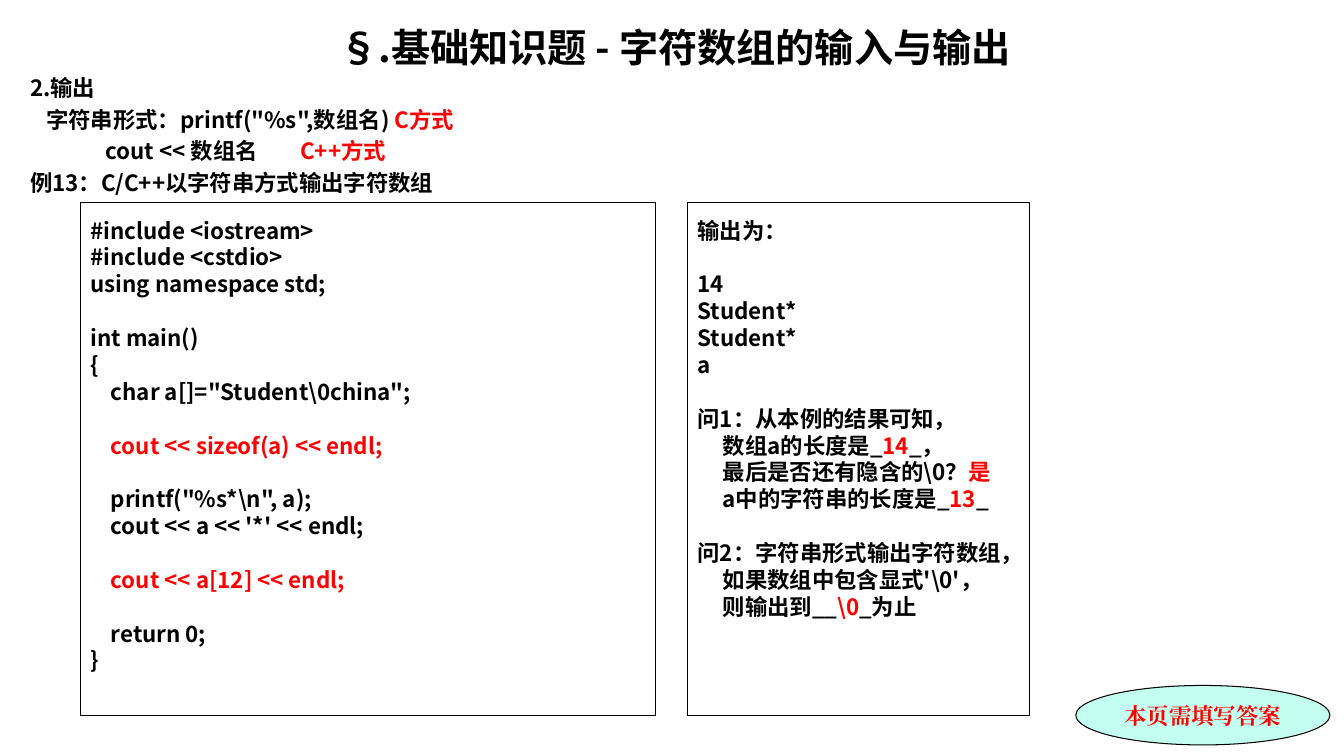
from pptx import Presentation
from pptx import util as u
from pptx.dml.color import RGBColor
from pptx.enum import shapes, text
from pptx.oxml import parse_xml
from pptx.oxml.ns import nsdecls, qn

BLACK = RGBColor(0x00, 0x00, 0x00)
RED = RGBColor(0xFF, 0x00, 0x00)
MINT = RGBColor(0xC2, 0xFF, 0xF0)

SANS = "Noto Sans CJK SC"
SERIF = "Times New Roman"
BODY_SIZE = 16
TITLE_SIZE = 28
LINE_FACTOR = 1.2
RED_MARK = "|"

TITLE = "§.基础知识题 - 字符数组的输入与输出"
INTRO = [
    "2.输出",
    '\t字符串形式：printf("%s",数组名) |C方式',
    "\tcout << 数组名\t|C++方式",
    "例13：C/C++以字符串方式输出字符数组",
]
INTRO_TABS = {1: [0.16], 2: [0.75, 2.68]}

CODE = r"""#include <iostream>
#include <cstdio>
using namespace std;

int main()
{
    char a[]="Student\0china";

|    cout << sizeof(a) << endl;

    printf("%s*\n", a);
    cout << a << '*' << endl;

|    cout << a[12] << endl;

    return 0;
}"""

ANSWERS = r"""输出为：

14
Student*
Student*
a

问1：从本例的结果可知，
>数组a的长度是_|14|_，
>最后是否还有隐含的\0？|是
>a中的字符串的长度是_|13|_

问2：字符串形式输出字符数组，
>如果数组中包含显式'\0'，
>则输出到__|\0|_为止"""


class SlideBuilder:
    def __init__(self, slide):
        self.slide = slide

    def fill_paragraph(self, paragraph, line, size=BODY_SIZE, name=SANS,
                       alignment=text.PP_ALIGN.LEFT, before=0, indent=0, tabs=()):
        properties = paragraph._p.get_or_add_pPr()
        if indent:
            properties.set("marL", str(u.Inches(indent)))
            properties.set("indent", "0")
        paragraph.alignment = alignment
        paragraph.line_spacing = u.Pt(size * LINE_FACTOR)
        paragraph.space_before = u.Pt(before)
        if tabs:
            stops = "".join(f'<a:tab pos="{u.Inches(stop)}" algn="l"/>' for stop in tabs)
            properties.append(parse_xml(f'<a:tabLst {nsdecls("a")}>{stops}</a:tabLst>'))
        for index, part in enumerate(line.split(RED_MARK)):
            if not part:
                continue
            run = paragraph.add_run()
            run.text = part
            run.font.size = u.Pt(size)
            run.font.bold = True
            run.font.name = name
            run.font.color.rgb = RED if index % 2 else BLACK
            run_properties = run._r.get_or_add_rPr()
            east_asian = run_properties.makeelement(qn("a:ea"), {"typeface": name})
            run_properties.find(qn("a:latin")).addnext(east_asian)

    def heading(self, left, top, width, height):
        shape = self.slide.shapes.add_textbox(*map(u.Inches, (left, top, width, height)))
        frame = shape.text_frame
        frame.word_wrap = True
        self.fill_paragraph(frame.paragraphs[0], TITLE, TITLE_SIZE,
                            alignment=text.PP_ALIGN.CENTER)
        for index, line in enumerate(INTRO):
            self.fill_paragraph(frame.add_paragraph(), line, alignment=text.PP_ALIGN.JUSTIFY,
                                before=BODY_SIZE * 0.2, tabs=INTRO_TABS.get(index, ()))

    def outline(self, kind, left, top, width, height, fill=None):
        shape = self.slide.shapes.add_shape(kind, *map(u.Inches, (left, top, width, height)))
        shape.shadow.inherit = False
        if fill is None:
            shape.fill.background()
        else:
            shape.fill.solid()
            shape.fill.fore_color.rgb = fill
        shape.line.color.rgb = BLACK
        shape.line.width = u.Pt(0.75)
        return shape

    def panel(self, left, width, content):
        shape = self.outline(shapes.MSO_SHAPE.RECTANGLE, left, 2.01, width, 5.09)
        frame = shape.text_frame
        frame.word_wrap = False
        frame.vertical_anchor = text.MSO_ANCHOR.TOP
        frame.margin_top = u.Inches(0.14)
        paragraph = frame.paragraphs[0]
        for group_index, group in enumerate(content.split("\n\n")):
            for line_index, line in enumerate(group.split("\n")):
                opens_group = group_index > 0 and line_index == 0
                if group_index or line_index:
                    paragraph = frame.add_paragraph()
                self.fill_paragraph(paragraph, line.removeprefix(">"),
                                    before=BODY_SIZE * LINE_FACTOR if opens_group else 0,
                                    indent=0.25 if line.startswith(">") else 0)

    def badge(self, left, top, width, height, label):
        shape = self.outline(shapes.MSO_SHAPE.OVAL, left, top, width, height, MINT)
        frame = shape.text_frame
        frame.vertical_anchor = text.MSO_ANCHOR.MIDDLE
        self.fill_paragraph(frame.paragraphs[0], RED_MARK + label, name=SERIF,
                            alignment=text.PP_ALIGN.CENTER)


def main():
    presentation = Presentation()
    presentation.slide_width = u.Inches(13.33)
    presentation.slide_height = u.Inches(7.5)
    builder = SlideBuilder(presentation.slides.add_slide(presentation.slide_layouts[6]))
    builder.heading(0.2, 0.18, 12.99, 7.09)
    builder.badge(10.67, 6.8, 2.52, 0.59, "本页需填写答案")
    builder.panel(0.8, 5.7, CODE)
    builder.panel(6.82, 3.39, ANSWERS)
    presentation.save("out.pptx")


if __name__ == "__main__":
    main()
